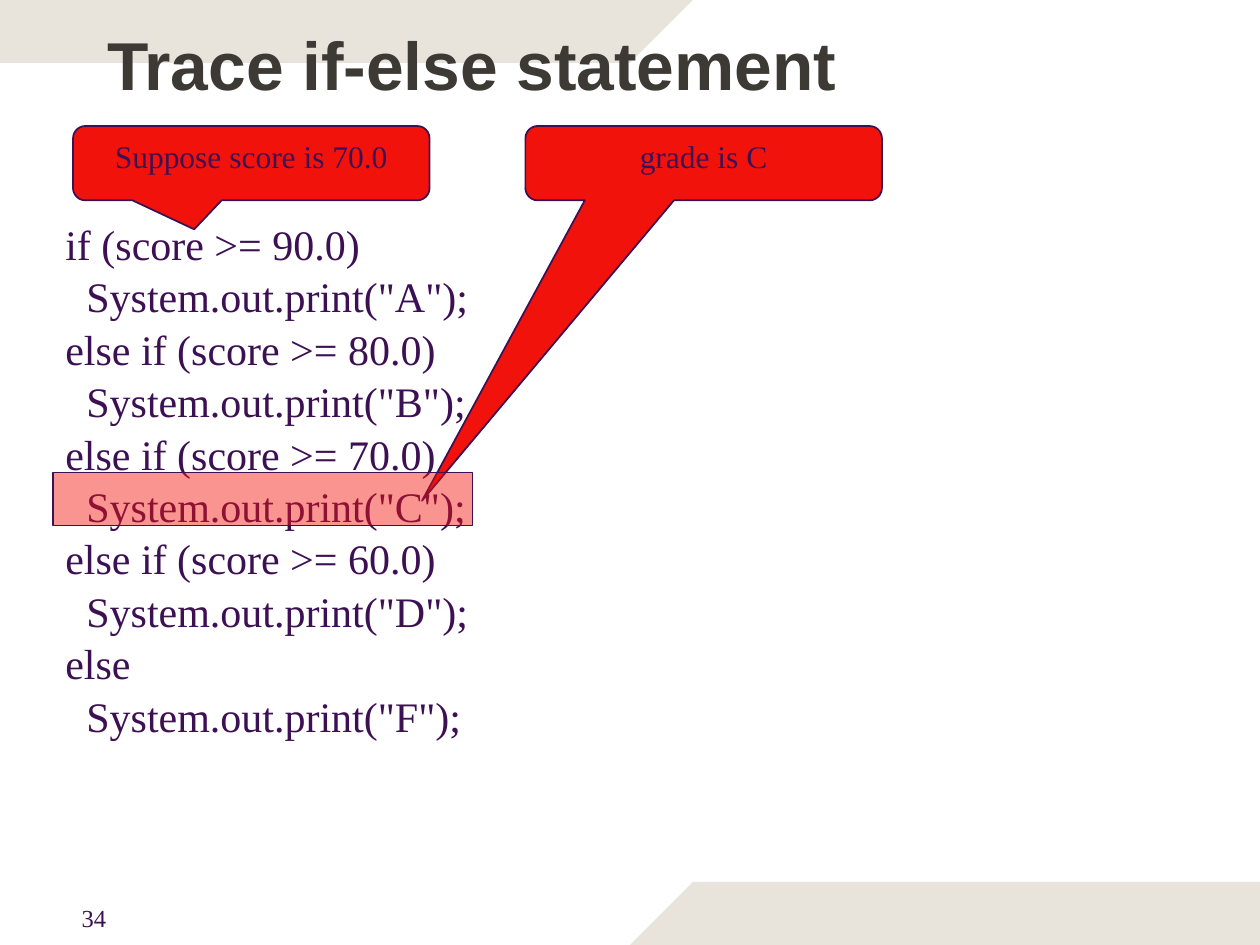
from lxml import etree
from pptx import Presentation
from pptx.dml.color import RGBColor
from pptx.enum.shapes import MSO_SHAPE as SHAPE
from pptx.enum.text import MSO_ANCHOR as ANCHOR, MSO_AUTO_SIZE as AUTO, PP_ALIGN as ALIGN
from pptx.oxml.ns import qn
from pptx.util import Inches, Pt

PURPLE = RGBColor(0x3C, 0x10, 0x53)
RED = RGBColor(0xF2, 0x12, 0x0C)
SAND = RGBColor(0xE8, 0xE3, 0xDB)
CHARCOAL = RGBColor(0x3D, 0x39, 0x35)

BRANCHES = [
    ("if (score >= 90.0)", "A"),
    ("else if (score >= 80.0)", "B"),
    ("else if (score >= 70.0)", "C"),
    ("else if (score >= 60.0)", "D"),
    ("else", "F"),
]


class TraceSlide:
    body_font = "Times New Roman"
    title_font = "Arial"

    def __init__(self, prs):
        self.s = prs.slides.add_slide(prs.slide_layouts[5])

    def fill_text(self, tf, lines, size, align=ALIGN.LEFT, spacing=1.0, **extra):
        font = {"name": self.body_font, "size": Pt(size), "bold": False, **extra}
        color = font.pop("color", PURPLE)
        for i, line in enumerate(lines):
            p = tf.add_paragraph() if i else tf.paragraphs[0]
            p.alignment = align
            p.line_spacing = spacing
            r = p.add_run()
            r.text = line
            for name, value in font.items():
                setattr(r.font, name, value)
            r.font.color.rgb = color

    def band(self, points):
        corners = [(Inches(x), Inches(y)) for x, y in points]
        fb = self.s.shapes.build_freeform(*corners[0])
        fb.add_line_segments(corners[1:], close=True)
        sp = fb.convert_to_shape()
        sp.shadow.inherit = False
        sp.fill.solid()
        sp.fill.fore_color.rgb = SAND
        sp.line.fill.background()

    def title(self, text, box):
        sp = self.s.shapes.title
        sp.element.getparent().append(sp.element)
        sp.left, sp.top, sp.width, sp.height = map(Inches, box)
        tf = sp.text_frame
        tf.auto_size = AUTO.NONE
        tf.vertical_anchor = ANCHOR.MIDDLE
        self.fill_text(tf, [text], 38.7, name=self.title_font, bold=True, color=CHARCOAL)

    def text(self, lines, box, size, **style):
        tf = self.s.shapes.add_textbox(*map(Inches, box)).text_frame
        tf.word_wrap = True
        self.fill_text(tf, lines, size, **style)

    def shape(self, kind, box):
        sp = self.s.shapes.add_shape(kind, *map(Inches, box))
        sp.shadow.inherit = False
        sp.fill.solid()
        sp.fill.fore_color.rgb = RED
        sp.line.color.rgb = PURPLE
        sp.line.width = Pt(1)
        return sp

    def callout(self, text, left, tip):
        sp = self.shape(SHAPE.ROUNDED_RECTANGULAR_CALLOUT, (left, 1, 2.83, 0.59))
        for i, value in enumerate(tip):
            sp.adjustments[i] = value
        tf = sp.text_frame
        tf.word_wrap = True
        tf.vertical_anchor = ANCHOR.TOP
        self.fill_text(tf, [text], 18, align=ALIGN.CENTER, spacing=1.04)

    def highlight(self, box, opacity):
        sp = self.shape(SHAPE.RECTANGLE, box)
        color = sp.element.spPr.find(qn("a:solidFill"))[0]
        etree.SubElement(color, qn("a:alpha")).set("val", str(opacity * 1000))


def main():
    prs = Presentation()
    prs.slide_width, prs.slide_height = Inches(10), Inches(7.5)
    slide = TraceSlide(prs)
    slide.band([(0, 0), (5.5, 0), (5, 0.5), (0, 0.5)])
    slide.band([(10, 7.5), (5, 7.5), (5.5, 7), (10, 7)])
    slide.text(["34"], (0.55, 7.12, 0.49, 0.27), 14)
    slide.title("Trace if-else statement", (0.75, 0, 8.75, 1))
    code = [line for test, grade in BRANCHES
            for line in (test, f'  System.out.print("{grade}");')]
    slide.text(code, (0.42, 1.67, 3.75, 4.14), 24, spacing=1.04)
    slide.callout("Suppose score is 70.0", 0.58, (-0.16, 0.89))
    slide.callout("grade is C", 4.17, (-0.79, 4.54))
    slide.highlight((0.42, 3.75, 3.33, 0.42), 45)
    prs.save("out.pptx")


if __name__ == "__main__":
    main()
